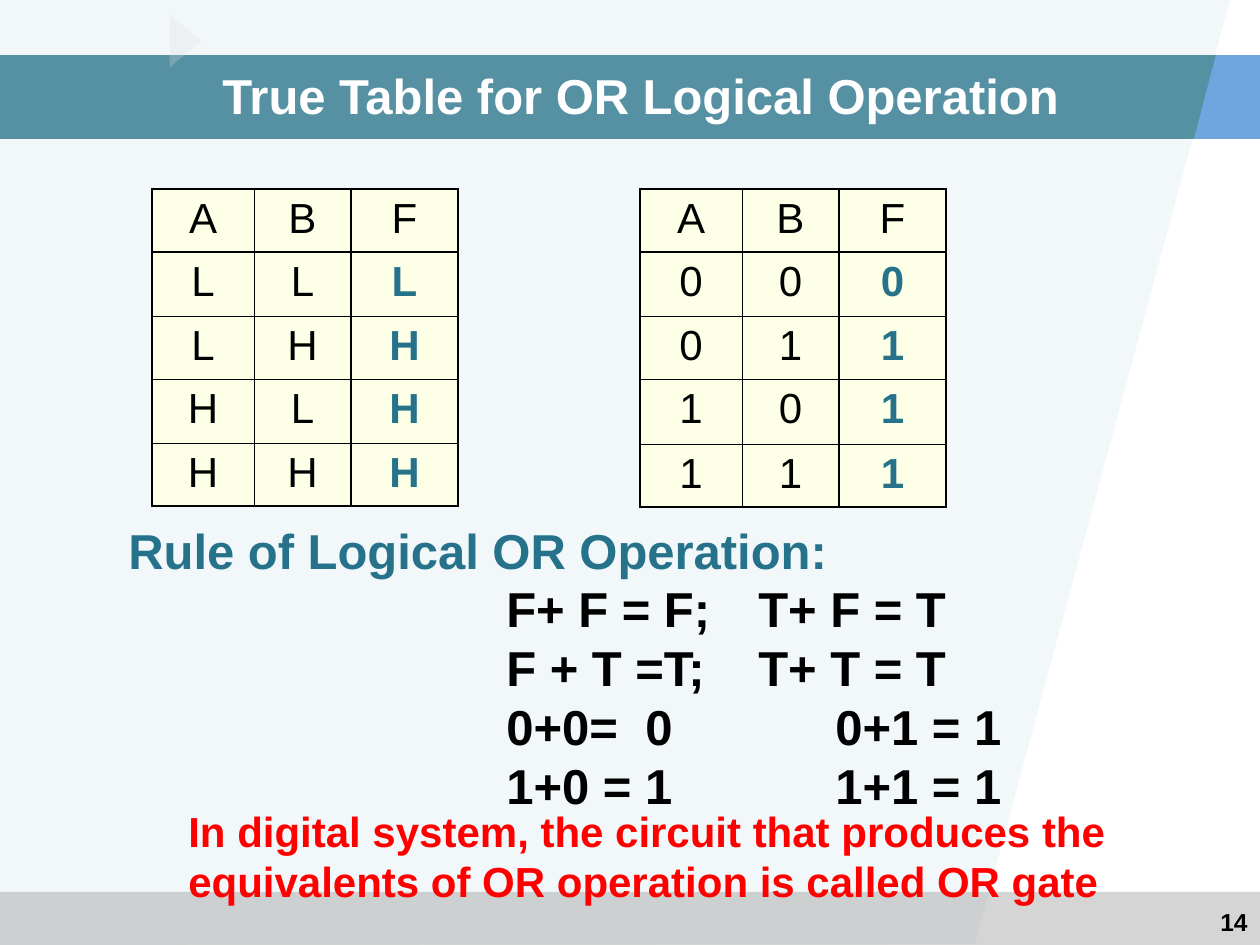
from lxml import etree
from pptx import Presentation
from pptx.dml.color import RGBColor
from pptx.enum.shapes import MSO_SHAPE
from pptx.enum.text import MSO_ANCHOR, PP_ALIGN
from pptx.oxml.ns import qn
from pptx.util import Pt

SCALE = 914400 / 126
RECT, WEDGE = MSO_SHAPE.RECTANGLE, MSO_SHAPE.ISOSCELES_TRIANGLE
LEFT, MID, RIGHT = PP_ALIGN.LEFT, PP_ALIGN.CENTER, PP_ALIGN.RIGHT
TOP, MIDDLE = MSO_ANCHOR.TOP, MSO_ANCHOR.MIDDLE

BLACK = RGBColor(0, 0, 0)
WHITE = RGBColor(255, 255, 255)
RED = RGBColor(255, 0, 0)
TEAL = RGBColor(0x26, 0x72, 0x8A)
MIST = RGBColor(0x9F, 0xCA, 0xD3)
GRAY = RGBColor(0x96, 0x96, 0x96)
PALE = RGBColor(0xDD, 0xDD, 0xDD)
BLUE = RGBColor(0x71, 0xA5, 0xDF)
CREAM = RGBColor(0xFD, 0xFF, 0xE7)

THIN, EDGE, THICK = 0.45, 1.08, 1.47
ROW_LINES = [EDGE, THICK, THIN, THIN, THIN, EDGE]
COL_LINES = [EDGE, THIN, THICK, EDGE]


def emu(px):
    return round(px * SCALE)


class Page:
    font = "Arial"

    def __init__(self, slide):
        self.slide = slide
        self.shapes = slide.shapes

    def paint(self, shape, color, alpha=100):
        shape.shadow.inherit = False
        shape.line.fill.background()
        shape.fill.solid()
        shape.fill.fore_color.rgb = color
        if alpha < 100:
            tint = shape.fill._xPr.find(".//" + qn("a:srgbClr"))
            etree.SubElement(tint, qn("a:alpha"), val=str(alpha * 1000))

    def shape(self, kind, box, color, alpha, turn=0):
        item = self.shapes.add_shape(kind, *map(emu, box))
        item.rotation = turn
        self.paint(item, color, alpha)

    def outline(self, points, color, alpha=100):
        pen = self.shapes.build_freeform(*points[0], scale=SCALE)
        pen.add_line_segments(points[1:], close=True)
        self.paint(pen.convert_to_shape(), color, alpha)

    def style(self, para, size, color, bold, align):
        para.alignment = align
        for run in para.runs:
            font = run.font
            font.name, font.size, font.bold = self.font, Pt(size), bold
            font.color.rgb = color

    def text(self, box, lines, size, align=LEFT, anchor=TOP):
        """Each line is its text, its colour and its tab stops in px."""
        frame = self.shapes.add_textbox(*map(emu, box)).text_frame
        frame.word_wrap = True
        frame.vertical_anchor = anchor
        for i, (words, color, stops) in enumerate(lines):
            para = frame.add_paragraph() if i else frame.paragraphs[0]
            para.text = words
            if stops:
                tabs = etree.SubElement(para._p.get_or_add_pPr(), qn("a:tabLst"))
                for stop in stops:
                    etree.SubElement(tabs, qn("a:tab"), pos=str(emu(stop)), algn="l")
            para.line_spacing = Pt(size * 1.2)
            self.style(para, size, color, True, align)

    def border(self, cell, row, col):
        sides = {
            "L": COL_LINES[col], "R": COL_LINES[col + 1],
            "T": ROW_LINES[row], "B": ROW_LINES[row + 1],
        }
        props = cell._tc.get_or_add_tcPr()
        for i, (side, width) in enumerate(sides.items()):
            line = etree.Element(qn("a:ln" + side), w=str(Pt(width)))
            fill = etree.SubElement(line, qn("a:solidFill"))
            etree.SubElement(fill, qn("a:srgbClr"), val=str(BLACK))
            props.insert(i, line)

    def table(self, left, top, widths, heights, rows):
        box = (left, top, sum(widths), sum(heights))
        table = self.shapes.add_table(len(rows), len(widths), *map(emu, box)).table
        for col, width in zip(table.columns, widths):
            col.width = emu(width)
        for r, row in enumerate(rows):
            table.rows[r].height = emu(heights[r])
            for c, word in enumerate(row):
                cell = table.cell(r, c)
                cell.text_frame.text = word
                result = r > 0 and c == 2
                color = TEAL if result else BLACK
                self.style(cell.text_frame.paragraphs[0], 24, color, result, MID)
                cell.fill.solid()
                cell.fill.fore_color.rgb = CREAM
                self.border(cell, r, c)


def main():
    deck = Presentation()
    deck.slide_width, deck.slide_height = emu(1260), emu(945)
    page = Page(deck.slides.add_slide(deck.slide_layouts[6]))

    page.outline([(0, 0), (1230, 0), (975, 944), (0, 945)], MIST, 13)
    page.shape(RECT, (0, 892, 1260, 53), GRAY, 40)
    page.shape(RECT, (0, 55, 1260, 84), TEAL, 77)
    page.outline([(1216, 55), (1194, 139), (1260, 139), (1260, 55)], BLUE)
    page.shape(WEDGE, (159, 25, 53, 32), PALE, 27, 90)

    page.text((966, 901, 294, 44), [("14", BLACK, ())], 14, RIGHT)
    page.text((176, 799, 958, 113), [
        ("In digital system, the circuit that produces the", RED, ()),
        ("equivalents of OR operation is called OR gate", RED, ()),
    ], 24)

    widths = [102, 97, 107]
    page.table(152, 189, widths, [63, 64, 63, 64, 63],
               ["ABF", "LLL", "LHH", "HLH", "HHH"])
    page.text((116, 514, 945, 307), [
        ("Rule of Logical OR Operation:", TEAL, ()),
        ("\tF+ F = F;\tT+ F = T", BLACK, (378, 630)),
        ("\tF + T =T;\tT+ T = T", BLACK, (378, 630)),
        ("\t0+0=\t0\t0+1 = 1", BLACK, (378, 517, 707)),
        ("\t1+0 = 1\t1+1 = 1", BLACK, (378, 707)),
    ], 28)
    page.table(640, 189, widths, [63, 64, 63, 65, 63],
               ["ABF", "000", "011", "101", "111"])

    title = "True Table for OR Logical Operation"
    page.text((63, 63, 1155, 63), [(title, WHITE, ())], 28, MID, MIDDLE)

    deck.save("out.pptx")


if __name__ == "__main__":
    main()
